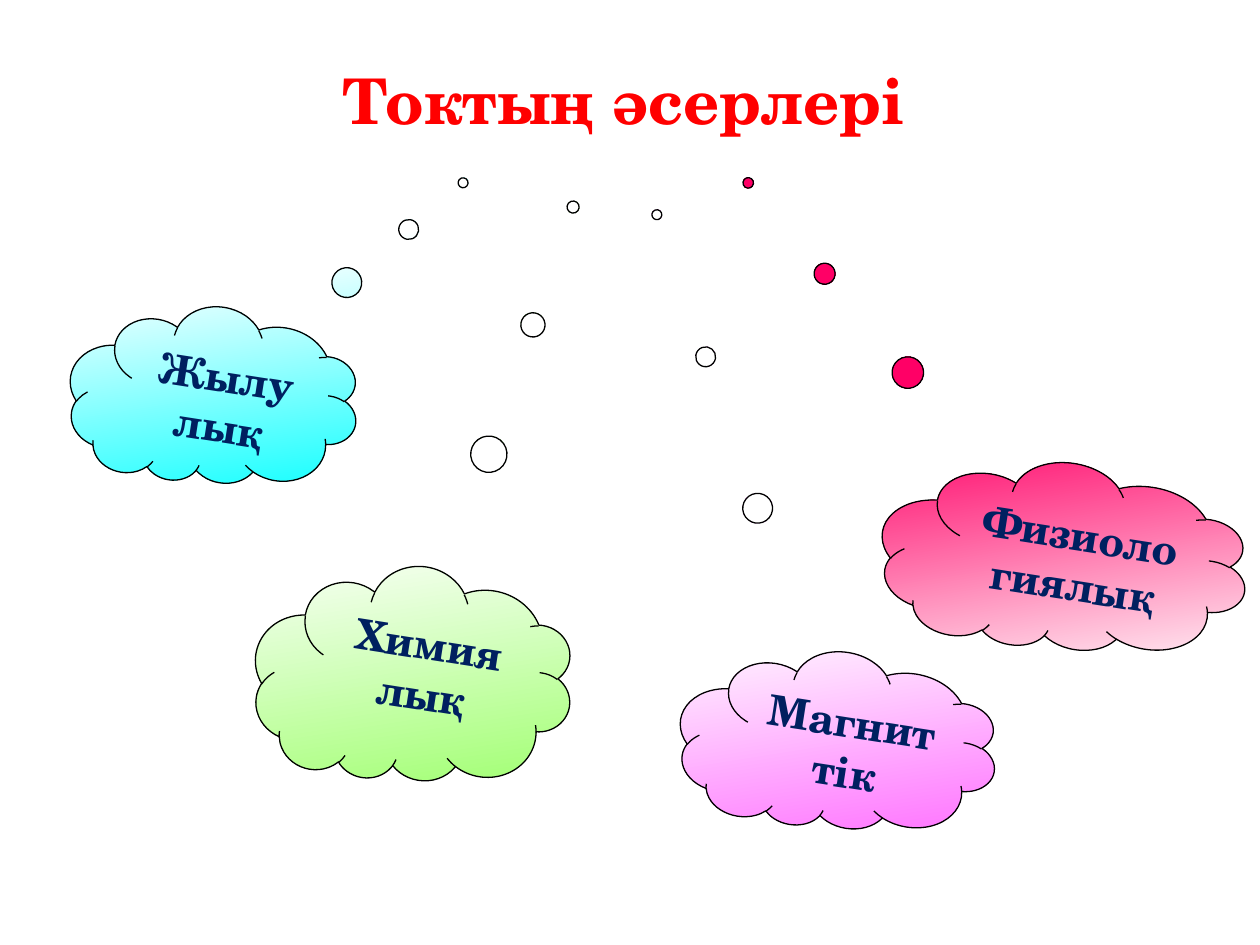
from pptx import Presentation
from pptx.dml.color import RGBColor
from pptx.enum.shapes import MSO_SHAPE
from pptx.enum.text import MSO_ANCHOR, PP_ALIGN
from pptx.util import Inches, Pt

CLOUD = MSO_SHAPE.CLOUD_CALLOUT
CENTER = PP_ALIGN.CENTER
TOP = MSO_ANCHOR.TOP

FONT = "TeX Gyre Schola"
TITLE = "Токтың әсерлері"
# Text, (left, top, width, height), bubble tail offsets, gradient ends
EFFECTS = [
    ("Жылу лық", (0.55, 2.44, 2.29, 1.42), (-0.738, 1.4), ("00FFFF", "FFFFFF")),
    ("Химия лық", (2.02, 4.5, 2.52, 1.73), (-0.266, 2.24), ("99FF66", "FFFFFF")),
    ("Магнит тік", (5.39, 5.18, 2.52, 1.42), (0.823, 2.753), ("FF66FF", "FFFFFF")),
    ("Физиологиялық", (6.99, 3.68, 2.91, 1.5), (1.011, 1.7), ("FFFFFF", "FF0066")),
]


def color(value):
    return RGBColor.from_string(value)


def write(shape, text, size, text_color):
    frame = shape.text_frame
    frame.word_wrap = True
    frame.vertical_anchor = TOP
    paragraph = frame.paragraphs[0]
    paragraph.text = text
    paragraph.alignment = CENTER
    font = paragraph.font
    font.name, font.size, font.bold = FONT, Pt(size), True
    font.color.rgb = color(text_color)


def add_effect(slide, text, place, tail, ends):
    cloud = slide.shapes.add_shape(CLOUD, *map(Inches, place))
    cloud.rotation = 189
    cloud.shadow.inherit = False
    for index, offset in enumerate(tail):
        cloud.adjustments[index] = offset
    cloud.fill.gradient()
    cloud.fill.gradient_angle = 99
    for stop, end, position in zip(cloud.fill.gradient_stops, ends, (0, 1)):
        stop.color.rgb = color(end)
        stop.position = position
    # The gradient keeps its direction while the cloud is turned
    cloud.element.spPr.find("{*}gradFill").set("rotWithShape", "0")
    cloud.line.color.rgb = color("000000")
    cloud.line.width = Pt(0.75)
    write(cloud, text, 24, "002060")
    # Half a turn brings the text upright again
    cloud.text_frame._txBody.bodyPr.set("rot", str(180 * 60000))


prs = Presentation()
prs.slide_width, prs.slide_height = Inches(10), Inches(7.5)
slide = prs.slides.add_slide(prs.slide_layouts[6])

# Clouds with the effects of current
for effect in EFFECTS:
    add_effect(slide, *effect)

# Title
title = slide.shapes.add_textbox(Inches(0.2), Inches(0.44), Inches(9.5), Inches(0.84))
write(title, TITLE, 36, "FF0000")

prs.save("out.pptx")
